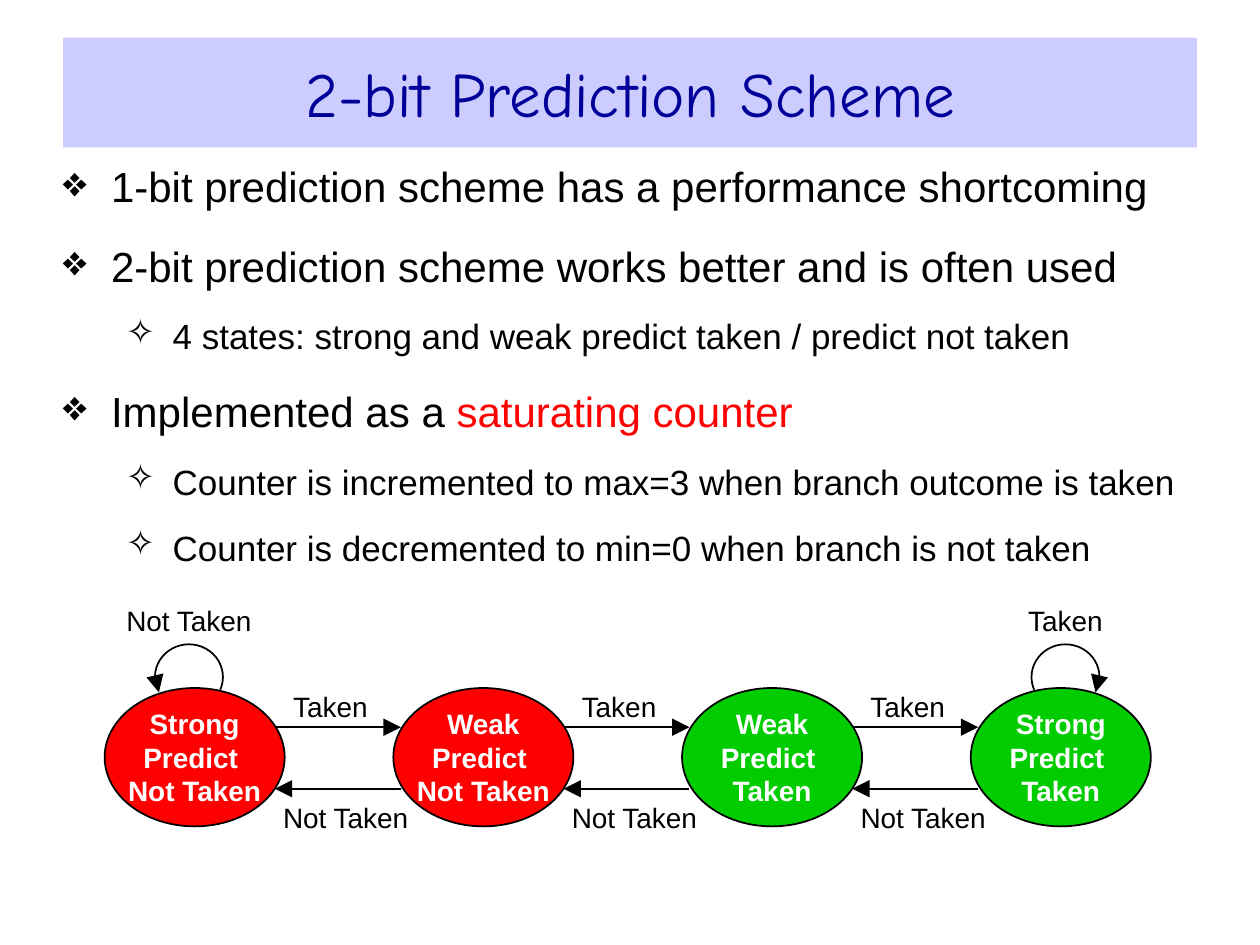
from lxml import etree
from pptx import Presentation
from pptx.dml.color import RGBColor
from pptx.enum import shapes, text
from pptx.oxml.ns import qn
from pptx.util import Cm, Pt

BLACK, WHITE, RED, GREEN = "000000", "FFFFFF", "FF0000", "00CC00"
BULLETS = [  # level, runs of (wording, colour)
    (0, [("1-bit prediction scheme has a performance shortcoming", BLACK)]),
    (0, [("2-bit prediction scheme works better and is often used", BLACK)]),
    (1, [("4 states: strong and weak predict taken / predict not taken", BLACK)]),
    (0, [("Implemented as a ", BLACK), ("saturating counter", RED)]),
    (1, [("Counter is incremented to max=3 when branch outcome is taken", BLACK)]),
    (1, [("Counter is decremented to min=0 when branch is not taken", BLACK)]),
]
# mark, size, space before, left margin (cm), hanging indent (cm)
LEVELS = [("❖", 24, 16.5, 0.97, 0.97), ("✧", 20, 13.8, 2.21, 0.94)]
STATES = [
    (["Strong", "Predict ", "Not Taken"], RED),
    (["Weak", "Predict ", "Not Taken"], RED),
    (["Weak", "Predict ", "Taken"], GREEN),
    (["Strong", "Predict ", "Taken"], GREEN),
]
STATE_WIDTH, STATE_HEIGHT, STATE_STEP = 3.63, 2.79, 5.82


def rgb(value):
    return RGBColor.from_string(value)


def set_font(font, size, color, name="Arial", bold=False):
    font.name, font.size, font.bold = name, Pt(size), bold
    font.color.rgb = rgb(color)


def clear_margins(frame):
    frame.margin_left = frame.margin_right = 0
    frame.margin_top = frame.margin_bottom = 0


def outline(shape, arrow_end=None):
    """Draw a thin black line; arrow_end is headEnd or tailEnd."""
    shape.line.color.rgb = rgb(BLACK)
    shape.line.width = Pt(1)
    if arrow_end:
        line = shape._element.spPr.find(qn("a:ln"))
        etree.SubElement(line, qn("a:" + arrow_end), type="triangle", w="lg", len="lg")


def add_title(slide, left, top, width, height):
    title = slide.shapes.title
    title.left, title.top = Cm(left), Cm(top)
    title.width, title.height = Cm(width), Cm(height)
    title.fill.solid()
    title.fill.fore_color.rgb = rgb("CCCCFF")
    title.text_frame.text = "2-bit Prediction Scheme"
    title.text_frame.vertical_anchor = text.MSO_ANCHOR.MIDDLE
    heading = title.text_frame.paragraphs[0]
    heading.alignment = text.PP_ALIGN.CENTER
    set_font(heading.font, 36, "000099", "Comic Neue")


def add_bullets(slide, left, top, width, height):
    frame = slide.shapes.add_textbox(Cm(left), Cm(top), Cm(width), Cm(height)).text_frame
    frame.word_wrap = True
    frame.margin_left = frame.margin_right = 0
    for index, (level, runs) in enumerate(BULLETS):
        mark, size, before, margin, hanging = LEVELS[level]
        point = frame.add_paragraph() if index else frame.paragraphs[0]
        point.level = level
        properties = point._p.get_or_add_pPr()
        properties.set("marL", str(Cm(margin)))
        properties.set("indent", str(-Cm(hanging)))
        bullet_color = etree.SubElement(properties, qn("a:buClr"))
        etree.SubElement(bullet_color, qn("a:srgbClr"), val=BLACK)
        etree.SubElement(properties, qn("a:buChar"), char=mark)
        if index:
            point.space_before = Pt(before)
        set_font(point.font, size, BLACK)
        for wording, color in runs:
            run = point.add_run()
            run.text = wording
            if color != BLACK:
                run.font.color.rgb = rgb(color)


def add_label(slide, wording, center, middle):
    width, height = 3, 0.8
    label = slide.shapes.add_textbox(
        Cm(center - width / 2), Cm(middle - height / 2), Cm(width), Cm(height))
    frame = label.text_frame
    frame.word_wrap = True
    clear_margins(frame)
    frame.vertical_anchor = text.MSO_ANCHOR.MIDDLE
    frame.text = wording
    frame.paragraphs[0].alignment = text.PP_ALIGN.CENTER
    set_font(frame.paragraphs[0].font, 16, BLACK)


def add_arrow(slide, start, end, y):
    arrow = slide.shapes.add_connector(
        shapes.MSO_CONNECTOR.STRAIGHT, Cm(start), Cm(y), Cm(end), Cm(y))
    outline(arrow, "tailEnd")
    etree.SubElement(arrow._element.spPr, qn("a:effectLst"))


def add_transitions(slide, left, top):
    """Arrows in both directions between a state at left and the next one."""
    start, end = left + 3.43, left + 5.97
    add_arrow(slide, start, end, top + 2.57)
    add_label(slide, "Taken", left + 4.55, top + 2.15)
    add_arrow(slide, end, start, top + 3.81)
    add_label(slide, "Not Taken", left + 4.86, top + 4.39)


def add_self_loop(slide, wording, center, top, angles, arrow_end):
    width, height = 1.37, 1.32
    loop = slide.shapes.add_shape(
        shapes.MSO_SHAPE.ARC, Cm(center - width / 2), Cm(top + 0.9), Cm(width), Cm(height))
    for index, degrees in enumerate(angles):
        loop.adjustments[index] = degrees * 0.6  # 60000 units a degree, over 100000
    loop.shadow.inherit = False
    loop.fill.background()
    outline(loop, arrow_end)
    add_label(slide, wording, center, top + 0.41)


def add_state(slide, lines, color, left, top):
    state = slide.shapes.add_shape(
        shapes.MSO_SHAPE.OVAL, Cm(left), Cm(top), Cm(STATE_WIDTH), Cm(STATE_HEIGHT))
    state.shadow.inherit = False
    state.fill.solid()
    state.fill.fore_color.rgb = rgb(color)
    outline(state)
    frame = state.text_frame
    frame.word_wrap = False
    clear_margins(frame)
    frame.vertical_anchor = text.MSO_ANCHOR.MIDDLE
    frame.text = "\n".join(lines)
    for line in frame.paragraphs:
        line.alignment = text.PP_ALIGN.CENTER
        set_font(line.font, 16, WHITE, bold=True)


def add_state_diagram(slide, left, top):
    lefts = [left + index * STATE_STEP for index in range(len(STATES))]
    for state_left in lefts[:-1]:
        add_transitions(slide, state_left, top)
    add_self_loop(slide, "Not Taken", lefts[0] + 1.7, top, (153, 22), "headEnd")
    add_self_loop(slide, "Taken", lefts[-1] + 1.91, top, (158, 27), "tailEnd")
    for (lines, color), state_left in zip(STATES, lefts):
        add_state(slide, lines, color, state_left, top + 1.78)


def main():
    deck = Presentation()
    deck.slide_width, deck.slide_height = Cm(25.4), Cm(19.05)
    slide = deck.slides.add_slide(deck.slide_layouts[5])
    add_title(slide, 1.27, 0.76, 22.86, 2.21)
    add_bullets(slide, 1.27, 3.12, 22.86, 8.64)
    add_state_diagram(slide, 2.11, 12.09)
    deck.save("out.pptx")


if __name__ == "__main__":
    main()
